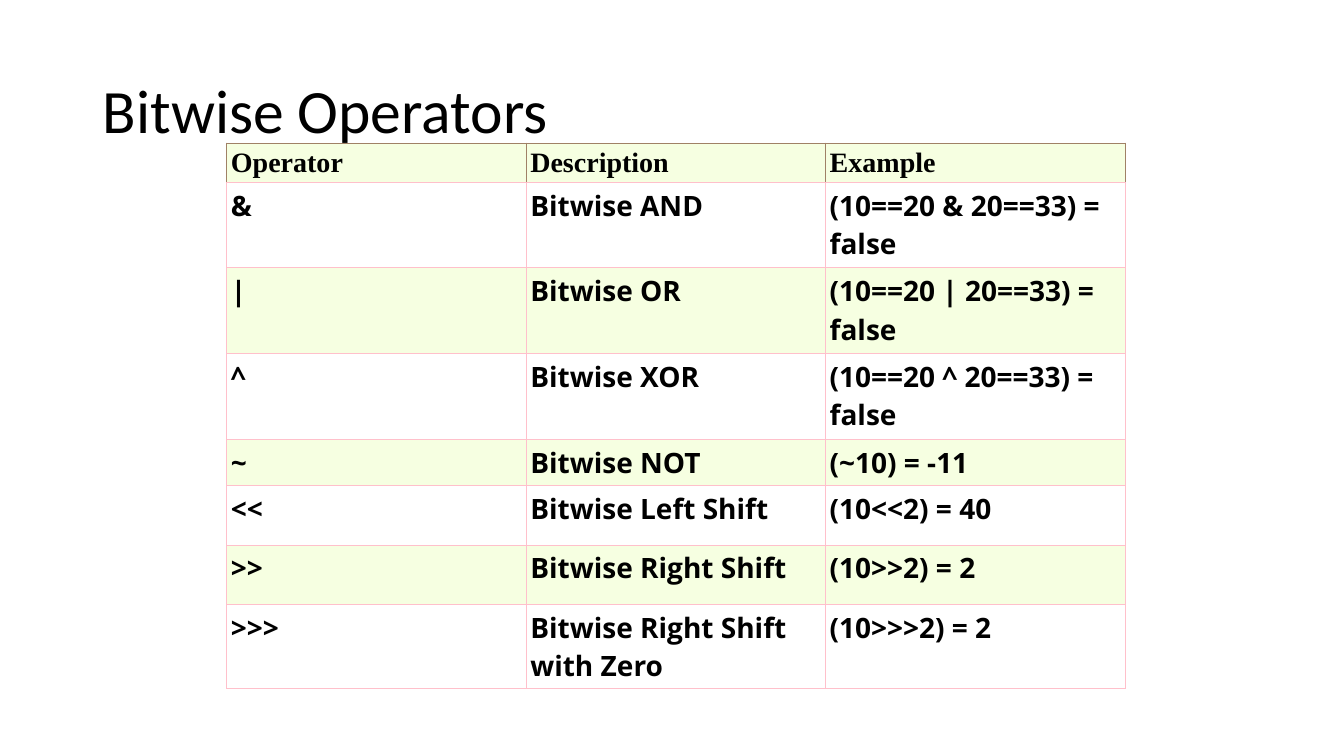
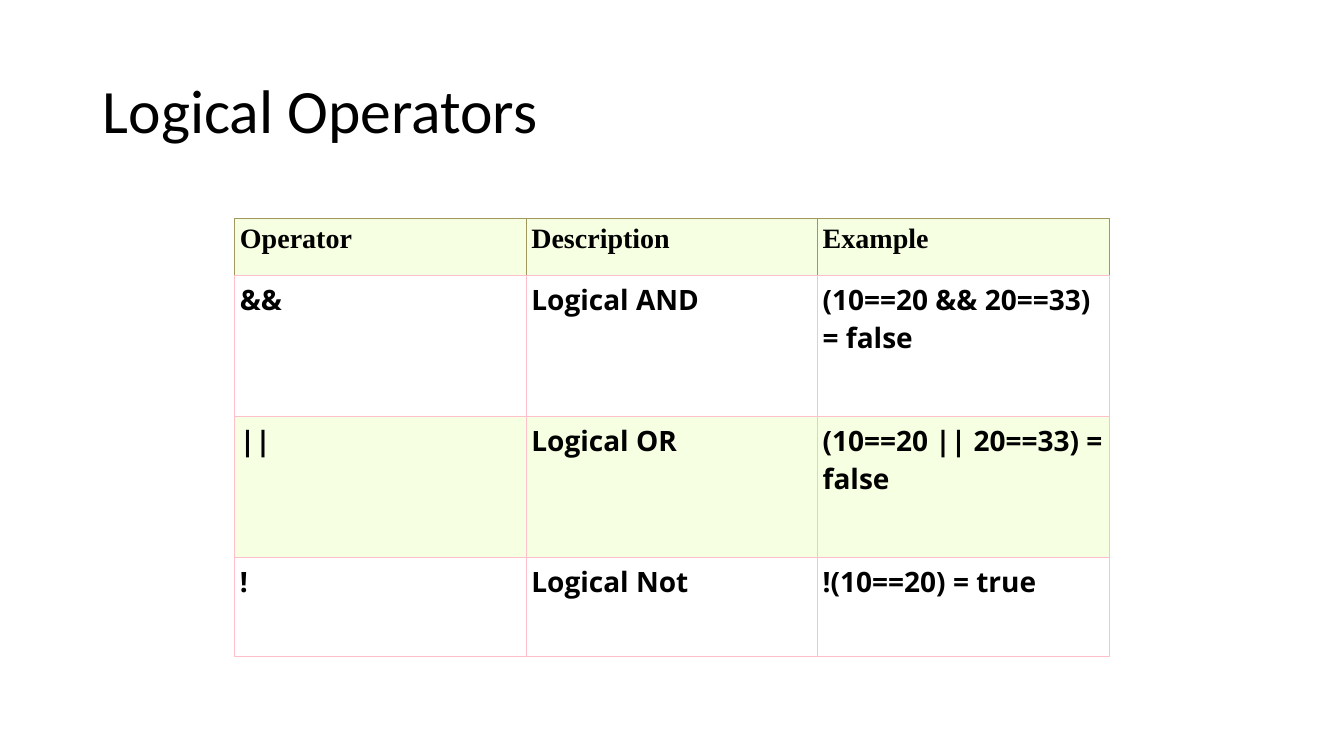
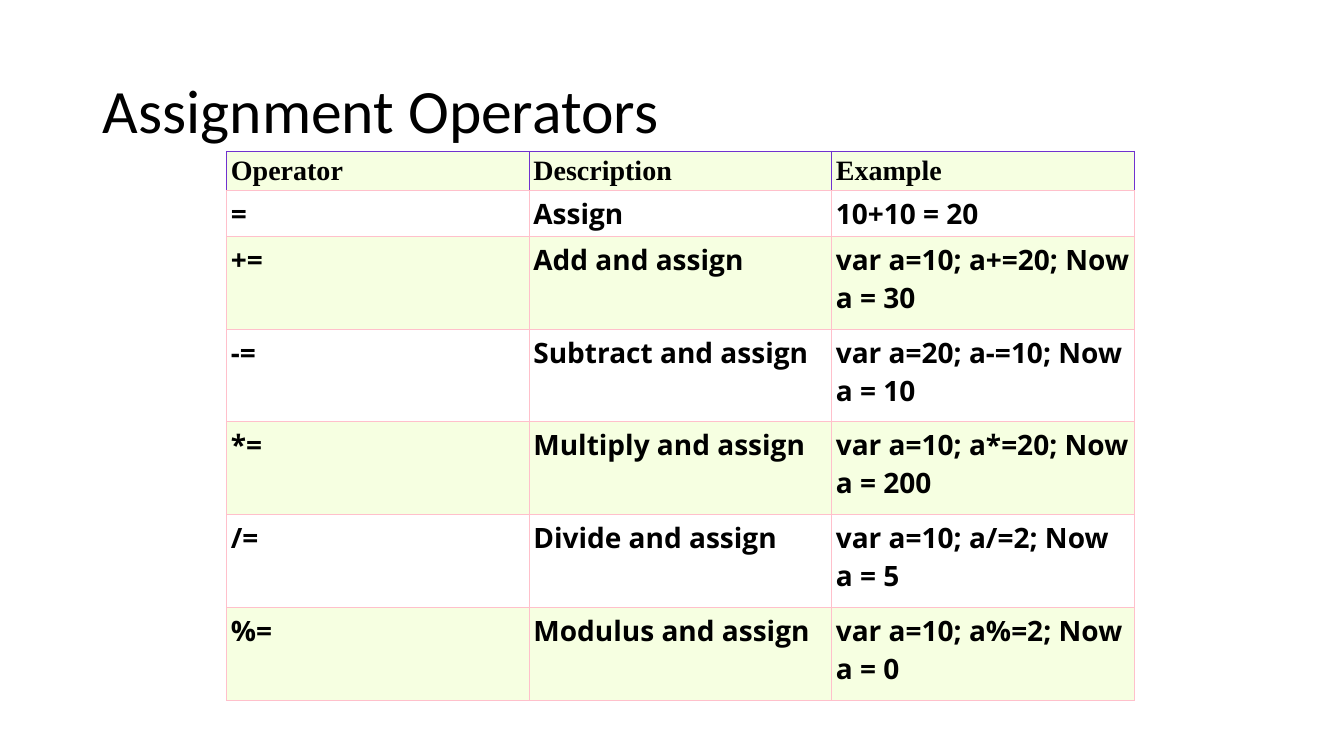
import pptx
import pptx.dml.color
import pptx.enum.text
import pptx.oxml
import pptx.oxml.ns
import pptx.util

PX = 9144  # EMU per px, 100 px to the inch
INK = "000000"
WHITE = "FFFFFF"
PALE_GREEN = "F6FFE1"
PINK = "FFC0CB"
TITLE_FONT = "Calibri"
HEADER_FONT = "Times New Roman"
BODY_FONT = "Open Sans"
TITLE_ONLY = 5
HEADINGS = ("Operator", "Description", "Example")

BITWISE = [
    ("&", "Bitwise AND", "(10==20 & 20==33) = false"),
    ("|", "Bitwise OR", "(10==20 | 20==33) = false"),
    ("^", "Bitwise XOR", "(10==20 ^ 20==33) = false"),
    ("~", "Bitwise NOT", "(~10) = -11"),
    ("<<", "Bitwise Left Shift", "(10<<2) = 40"),
    (">>", "Bitwise Right Shift", "(10>>2) = 2"),
    (">>>", "Bitwise Right Shift with Zero", "(10>>>2) = 2"),
]
LOGICAL = [
    ("&&", "Logical AND", "(10==20 && 20==33) = false"),
    ("||", "Logical OR", "(10==20 || 20==33) = false"),
    ("!", "Logical Not", "!(10==20) = true"),
]
ASSIGNMENT = [
    ("=", "Assign", "10+10 = 20"),
    ("+=", "Add and assign", "var a=10; a+=20; Now a = 30"),
    ("-=", "Subtract and assign", "var a=20; a-=10; Now a = 10"),
    ("*=", "Multiply and assign", "var a=10; a*=20; Now a = 200"),
    ("/=", "Divide and assign", "var a=10; a/=2; Now a = 5"),
    ("%=", "Modulus and assign", "var a=10; a%=2; Now a = 0"),
]


def px(length):
    return pptx.util.Emu(length * PX)


def color(hex_string):
    return pptx.dml.color.RGBColor.from_string(hex_string)


def add_span(para, text, font, size, bold=False):
    span = para.add_run()
    span.text = text
    span.font.name = font
    span.font.size = pptx.util.Pt(size)
    span.font.bold = bold
    span.font.color.rgb = color(INK)


def add_page(deck, title):
    """Add a slide with its title set in the shared style."""
    page = deck.slides.add_slide(deck.slide_layouts[TITLE_ONLY])
    box = page.shapes.title
    box.left, box.top, box.width, box.height = map(px, (92, 40, 1150, 145))
    box.text_frame.vertical_anchor = pptx.enum.text.MSO_ANCHOR.MIDDLE
    para = box.text_frame.paragraphs[0]
    para.alignment = pptx.enum.text.PP_ALIGN.LEFT
    para.line_spacing = 0.9
    add_span(para, title, TITLE_FONT, 44)
    return page


def set_borders(cell, edge_color, bottom_color):
    properties = cell._tc.get_or_add_tcPr()
    namespace = pptx.oxml.ns.nsdecls("a")
    for side in "LRTB":
        line_color = bottom_color if side == "B" else edge_color
        properties.append(pptx.oxml.parse_xml(
            f'<a:ln{side} {namespace} w="{pptx.util.Pt(0.75)}"><a:solidFill>'
            f'<a:srgbClr val="{line_color}"/></a:solidFill></a:ln{side}>'))


def fill_cell(cell, text, font, fill, edge_color, inset):
    cell.margin_left = cell.margin_right = px(inset)
    cell.margin_top = cell.margin_bottom = px(inset)
    set_borders(cell, edge_color, PINK)
    cell.fill.solid()
    cell.fill.fore_color.rgb = color(fill)
    add_span(cell.text_frame.paragraphs[0], text, font, 20, bold=True)


def add_operator_table(page, left, top, column_width, heights, operators,
                       header_edge, inset):
    rows = [HEADINGS, *operators]
    columns = len(HEADINGS)
    frame = page.shapes.add_table(
        len(rows), columns, px(left), px(top),
        px(column_width * columns), px(sum(heights)))
    table = frame.table
    table.first_row = table.horz_banding = False
    for column in table.columns:
        column.width = px(column_width)
    for index, (texts, height) in enumerate(zip(rows, heights)):
        table.rows[index].height = px(height)
        header = index == 0
        font = HEADER_FONT if header else BODY_FONT
        edge_color = header_edge if header else PINK
        fill = WHITE if index % 2 else PALE_GREEN
        for cell, text in zip(table.rows[index].cells, texts):
            fill_cell(cell, text, font, fill, edge_color, inset)


def main():
    deck = pptx.Presentation()
    deck.slide_width, deck.slide_height = px(1333), px(750)

    page = add_page(deck, "Bitwise Operators")
    add_operator_table(page, 225, 142, 297, [34] + [85] * 3 + [34] + [59] * 3,
                       BITWISE, "A08166", 4)

    page = add_page(deck, "Logical Operators")
    add_operator_table(page, 233, 217, 289, [56, 140, 140, 98],
                       LOGICAL, "A0985D", 5)

    page = add_page(deck, "Assignment Operators")
    add_operator_table(page, 225, 150, 300, [37] * 2 + [92] * 5,
                       ASSIGNMENT, "7032CF", 4)

    deck.save("out.pptx")


if __name__ == "__main__":
    main()
